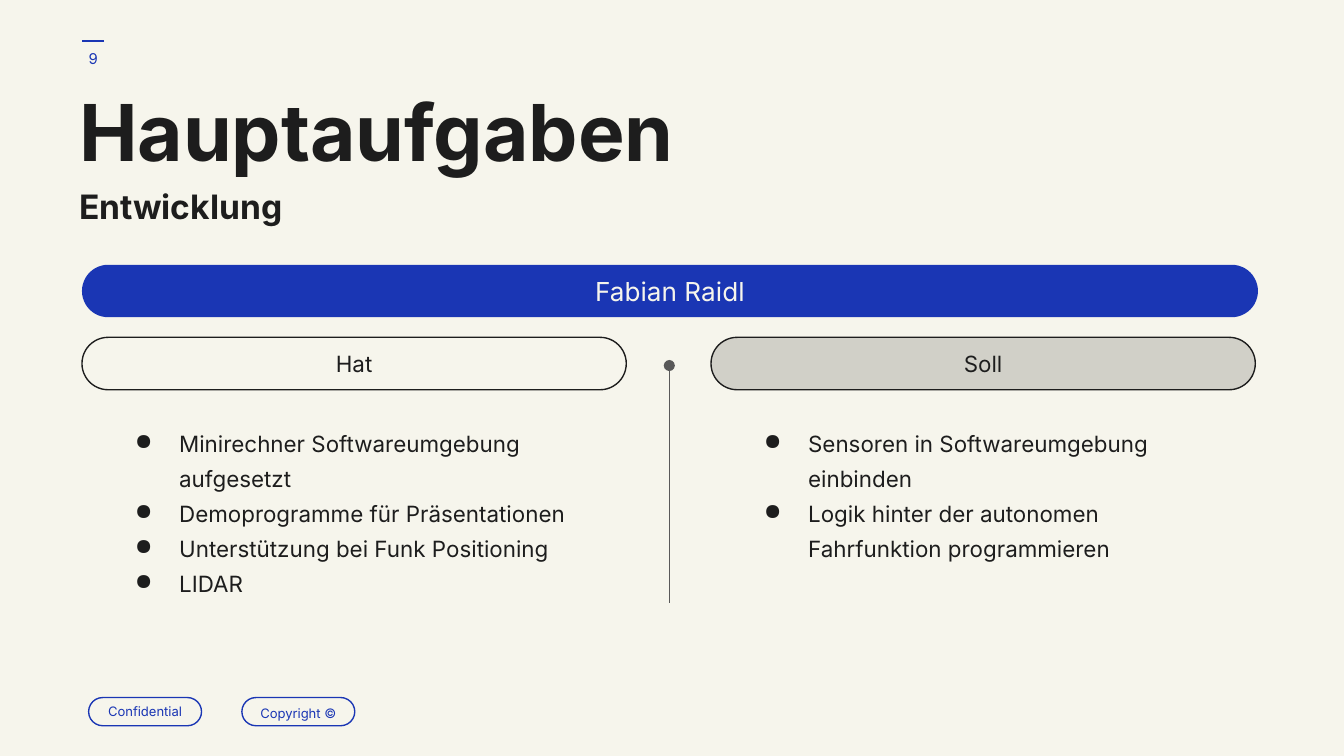
from dataclasses import dataclass
from typing import Optional

from lxml.etree import SubElement
from pptx import Presentation
from pptx.dml.color import RGBColor
from pptx.enum.shapes import MSO_CONNECTOR as Connector, MSO_SHAPE as Preset
from pptx.enum.text import MSO_ANCHOR as Anchor, PP_ALIGN as Align
from pptx.oxml.ns import qn
from pptx.util import Emu, Inches, Pt

CREAM = RGBColor(0xF6, 0xF5, 0xEC)
INK = RGBColor(0x1D, 0x1D, 0x1D)
BLUE = RGBColor(0x1A, 0x36, 0xB4)
STONE = RGBColor(0xD1, 0xD0, 0xC8)
GREY = RGBColor(0x59, 0x59, 0x59)
FONT = "Inter"

# The slide is a grid of 100 columns and 56.25 rows of equal size
CELL = Inches(0.1)
COLUMNS, ROWS = 100, 56.25
LEFT_HALF, RIGHT_HALF = 6.1, 52.9
HEADER_WIDTH, HEADER_HEIGHT = 40.5, 3.9


def grid(cells: float) -> Emu:
    return Emu(round(cells * CELL))


@dataclass
class Box:
    left: float
    top: float
    width: float
    height: float

    def place(self) -> tuple:
        return tuple(grid(n) for n in (self.left, self.top, self.width, self.height))


@dataclass
class Style:
    size: float
    color: RGBColor = INK
    bold: bool = False
    align: Align = Align.LEFT
    anchor: Anchor = Anchor.TOP
    spacing: float = 1.0
    bulleted: bool = False


@dataclass
class Pill:
    label: str
    box: Box
    size: float
    color: RGBColor
    fill: Optional[RGBColor] = None
    line: Optional[RGBColor] = None
    spacing: float = 1.0


@dataclass
class Task:
    header: str
    left: float
    fill: Optional[RGBColor]
    items: list


def add_bullet(paragraph) -> None:
    props = paragraph._p.get_or_add_pPr()
    props.set("marL", str(Inches(0.5)))
    props.set("indent", str(-Inches(0.33)))
    color = SubElement(props, qn("a:buClr"))
    SubElement(color, qn("a:srgbClr")).set("val", str(INK))
    SubElement(props, qn("a:buChar")).set("char", "●")


def write(shape, lines: list, style: Style) -> None:
    frame = shape.text_frame
    frame.word_wrap = True
    frame.vertical_anchor = style.anchor
    frame.margin_left = frame.margin_right = CELL
    frame.margin_top = frame.margin_bottom = CELL
    frame.text = "\n".join(lines)
    for paragraph in frame.paragraphs:
        if style.bulleted:
            add_bullet(paragraph)
        paragraph.alignment = style.align
        paragraph.line_spacing = style.spacing
        for run in paragraph.runs:
            run.font.name = FONT
            run.font.size = Pt(style.size)
            run.font.bold = style.bold
            run.font.color.rgb = style.color


def add_text(slide, lines: list, box: Box, style: Style) -> None:
    write(slide.shapes.add_textbox(*box.place()), lines, style)


def add_pill(slide, pill: Pill) -> None:
    shape = slide.shapes.add_shape(Preset.ROUNDED_RECTANGLE, *pill.box.place())
    shape.adjustments[0] = 0.5
    shape.shadow.inherit = False
    if pill.fill is None:
        shape.fill.background()
    else:
        shape.fill.solid()
        shape.fill.fore_color.rgb = pill.fill
    if pill.line is None:
        shape.line.fill.background()
    else:
        shape.line.color.rgb = pill.line
        shape.line.width = Pt(0.75)
    write(shape, [pill.label], Style(pill.size, pill.color, align=Align.CENTER,
                                     anchor=Anchor.MIDDLE, spacing=pill.spacing))


def add_rule(slide, start: tuple, end: tuple, color: RGBColor, dot: bool = False) -> None:
    rule = slide.shapes.add_connector(Connector.STRAIGHT, *map(grid, start + end))
    rule.line.color.rgb = color
    rule.line.width = Pt(0.75)
    if dot:
        SubElement(rule.line._get_or_add_ln(), qn("a:headEnd")).set("type", "oval")
    SubElement(rule._element.spPr, qn("a:effectLst"))


TASKS = [
    Task("Hat", LEFT_HALF, None, [
        "Minirechner Softwareumgebung aufgesetzt",
        "Demoprogramme für Präsentationen",
        "Unterstützung bei Funk Positioning",
        "LIDAR",
    ]),
    Task("Soll", RIGHT_HALF, STONE, [
        "Sensoren in Softwareumgebung einbinden",
        "Logik hinter der autonomen Fahrfunktion programmieren",
    ]),
]


def main() -> None:
    deck = Presentation()
    deck.slide_width, deck.slide_height = grid(COLUMNS), grid(ROWS)
    slide = deck.slides.add_slide(deck.slide_layouts[6])
    slide.background.fill.solid()
    slide.background.fill.fore_color.rgb = CREAM

    # Page number under a short rule
    add_rule(slide, (7.75, 3.05), (6.1, 3.05), BLUE)
    add_text(slide, ["9"], Box(4.6, 2.2, 4.7, 4.3),
             Style(8, BLUE, align=Align.CENTER, anchor=Anchor.MIDDLE))

    # Title and subtitle
    add_text(slide, ["Hauptaufgaben"], Box(4.9, 6.5, 53.3, 7.8),
             Style(42, bold=True, spacing=0.8))
    add_text(slide, ["Entwicklung"], Box(4.9, 13.4, 54.1, 3.9),
             Style(18, bold=True, spacing=0.8))

    # Name banner
    add_pill(slide, Pill("Fabian Raidl", Box(LEFT_HALF, 19.7, 87.5, HEADER_HEIGHT),
                         14, CREAM, fill=BLUE))

    # Done and planned tasks, with a divider between them
    for task in TASKS:
        header = Box(task.left, 25.1, HEADER_WIDTH, HEADER_HEIGHT)
        add_pill(slide, Pill(task.header, header, 12, INK, task.fill, INK))
        add_text(slide, task.items, Box(task.left + 1.25, 30.4, 38, 15.2),
                 Style(12, spacing=1.3, bulleted=True))
    add_rule(slide, (49.8, 27.2), (49.8, 44.9), GREY, dot=True)

    # Footer tags
    for index, (label, spacing) in enumerate([("Confidential", 1.0), ("Copyright ©", 1.15)]):
        add_pill(slide, Pill(label, Box(6.6 + index * 11.4, 51.9, 8.4, 2.1),
                             7, BLUE, line=BLUE, spacing=spacing))

    deck.save("out.pptx")


if __name__ == "__main__":
    main()
